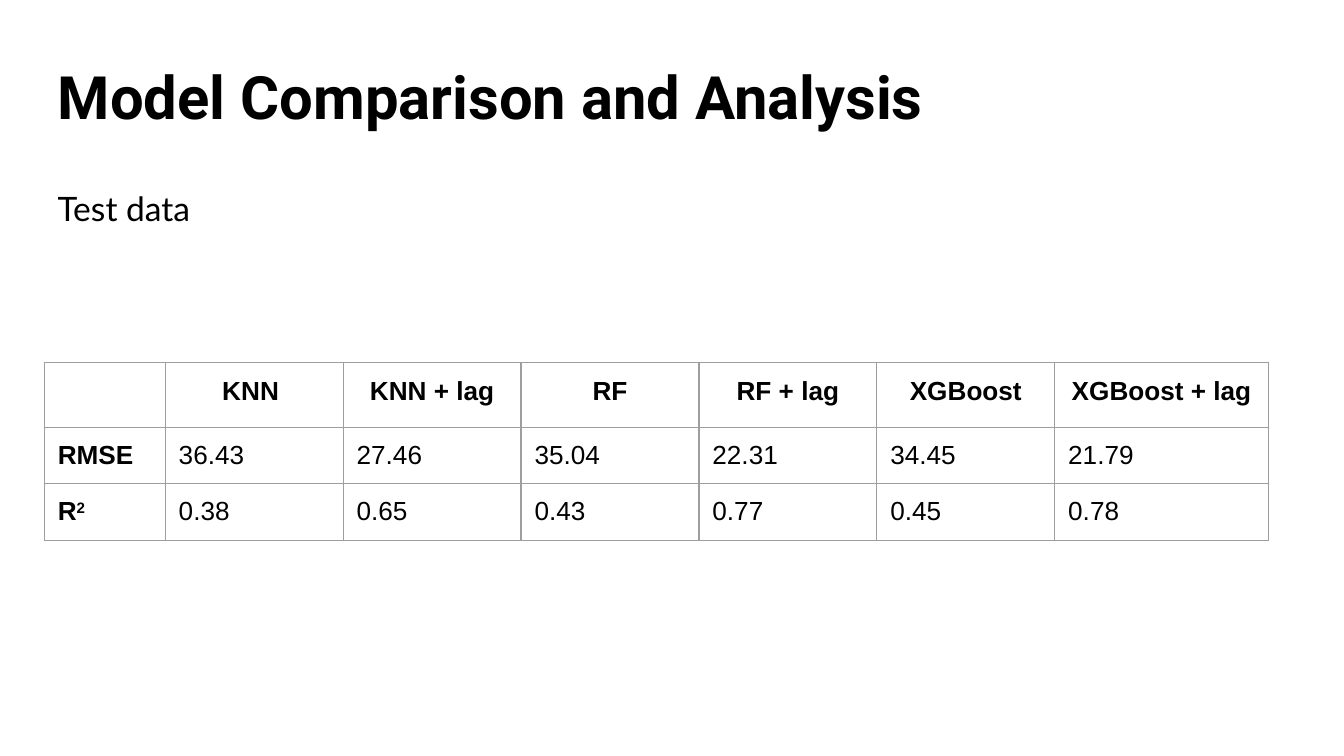
from dataclasses import dataclass

from lxml.etree import SubElement
from pptx import Presentation
from pptx.dml.color import RGBColor
from pptx.enum.text import MSO_ANCHOR, MSO_AUTO_SIZE, PP_ALIGN
from pptx.oxml.ns import qn
from pptx.util import Inches, Pt


@dataclass(frozen=True)
class Theme:
    ink: str = "000000"
    border: str = "9E9E9E"
    border_width: float = 0.75
    title_font: str = "Roboto"
    body_font: str = "Lato"
    table_font: str = "Arial"
    title_size: int = 32
    body_size: int = 18
    table_size: int = 14
    inset: float = 0.1


THEME = Theme()
LEFT = 0.33

# Table content and grid, in inches
ROWS = [
    ["", "KNN ", "KNN + lag", "RF", "RF + lag", "XGBoost", "XGBoost + lag"],
    ["RMSE", "36.43", "27.46", "35.04", "22.31", "34.45", "21.79"],
    ["R", "0.38", "0.65", "0.43", "0.77", "0.45", "0.78"],
]
COL_WIDTHS = [0.9] + [6.62 / 5] * 5 + [1.59]
ROW_HEIGHTS = [0.48, 0.42, 0.42]


def set_insets(frame):
    """Give a text frame or table cell equal margins."""
    for side in ("left", "top", "right", "bottom"):
        setattr(frame, f"margin_{side}", Inches(THEME.inset))


def style_paragraph(p, font, size, bold=False, align=PP_ALIGN.LEFT):
    p.alignment = align
    p.font.name = font
    p.font.size = Pt(size)
    p.font.bold = bold
    p.font.color.rgb = RGBColor.from_string(THEME.ink)


def add_title(s, text):
    sp = s.shapes.title
    sp.left, sp.top = Inches(LEFT), Inches(0.45)
    sp.width, sp.height = Inches(9.32), Inches(0.7)
    tf = sp.text_frame
    tf.text = text
    tf.vertical_anchor = MSO_ANCHOR.TOP
    tf.auto_size = MSO_AUTO_SIZE.NONE
    set_insets(tf)
    p = tf.paragraphs[0]
    p.line_spacing = 0.8
    style_paragraph(p, THEME.title_font, THEME.title_size, bold=True)


def add_subtitle(s, text):
    sp = s.shapes.add_textbox(Inches(LEFT), Inches(1.3), Inches(4.83), Inches(0.5))
    tf = sp.text_frame
    tf.text = text
    tf.word_wrap = True
    tf.auto_size = MSO_AUTO_SIZE.SHAPE_TO_FIT_TEXT
    set_insets(tf)
    style_paragraph(tf.paragraphs[0], THEME.body_font, THEME.body_size)


def add_borders(cell):
    tc_pr = cell._tc.get_or_add_tcPr()
    for index, side in enumerate(("lnL", "lnR", "lnT", "lnB")):
        ln = tc_pr.makeelement(qn(f"a:{side}"), w=str(Pt(THEME.border_width)))
        fill = SubElement(ln, qn("a:solidFill"))
        SubElement(fill, qn("a:srgbClr"), val=THEME.border)
        tc_pr.insert(index, ln)


def add_superscript(p, text):
    r = p.add_run()
    r.text = text
    r._r.get_or_add_rPr().set("baseline", "30000")


def add_score_table(s):
    frame = s.shapes.add_table(
        len(ROWS), len(COL_WIDTHS), Inches(LEFT), Inches(2.7),
        Inches(sum(COL_WIDTHS)), Inches(sum(ROW_HEIGHTS)))
    table = frame.table
    table.first_row = table.horz_banding = False
    for column, width in zip(table.columns, COL_WIDTHS):
        column.width = Inches(width)
    for row, height in zip(table.rows, ROW_HEIGHTS):
        row.height = Inches(height)

    for i, values in enumerate(ROWS):
        for j, value in enumerate(values):
            cell = table.cell(i, j)
            cell.text = value
            cell.fill.background()
            set_insets(cell)
            add_borders(cell)
            style_paragraph(
                cell.text_frame.paragraphs[0], THEME.table_font, THEME.table_size,
                bold=i == 0 or j == 0,
                align=PP_ALIGN.CENTER if i == 0 else PP_ALIGN.LEFT)

    # Exponent of the R² row label
    add_superscript(table.cell(2, 0).text_frame.paragraphs[0], "2")


def main():
    prs = Presentation()
    # Widescreen, 16:9
    prs.slide_width = Inches(10)
    prs.slide_height = prs.slide_width * 9 // 16
    s = prs.slides.add_slide(prs.slide_layouts.get_by_name("Title Only"))
    add_title(s, "Model Comparison and Analysis")
    add_score_table(s)
    add_subtitle(s, "Test data")
    prs.save("out.pptx")


if __name__ == "__main__":
    main()
